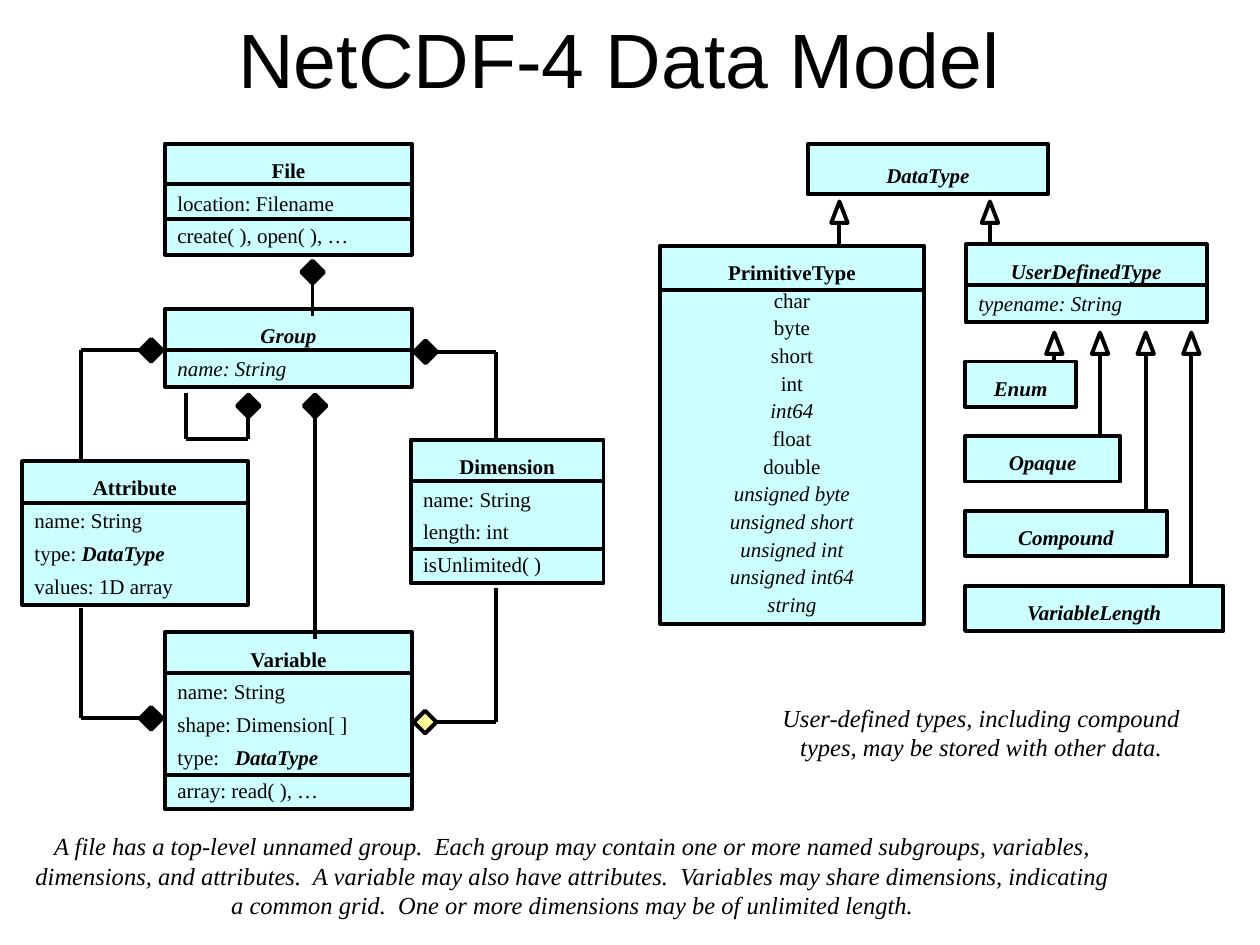
"""Build the NetCDF-4 data model slide as a UML class diagram."""
from lxml.etree import SubElement
from pptx import Presentation
from pptx.dml.color import RGBColor as RGB
from pptx.enum.shapes import MSO_CONNECTOR as CONN, MSO_SHAPE as SHAPE
from pptx.enum.text import MSO_ANCHOR as ANCHOR, PP_ALIGN as ALIGN
from pptx.oxml.ns import qn
from pptx.util import Pt

THEME = {
    "ink": RGB(0, 0, 0), "box": RGB(0xCC, 0xFF, 0xFF),
    "shared": RGB(0xFF, 0xFF, 0x99), "paper": RGB(255, 255, 255),
    "head_font": "Arial", "body_font": "Times New Roman",
    "title": 44, "note": 14, "label": 12, "line": 2.25,
}
TITLE = ("NetCDF-4 Data Model", (54, 3, 600, 60))
NOTES = [
    ("User-defined types, including compound types, may be stored with other data.",
     (437, 398, 247.5, 41)),
    ("A file has a top-level unnamed group.  Each group may contain one or more named "
     "subgroups, variables, dimensions, and attributes.  A variable may also have "
     "attributes.  Variables may share dimensions, indicating a common grid.  One or more "
     "dimensions may be of unlimited length.", (13, 471.5, 628.5, 57.5)),
]
CLASSES = [
    {"name": "Dimension", "at": (234.7, 251.3, 110.2, 82.1), "rules": (275, 313.9),
     "rows": ["name: String", "length: int", "isUnlimited( )"]},
    {"name": "Attribute", "at": (12.6, 263.5, 128.9, 82.1), "rules": (287.3,),
     "rows": ["name: String", [("type: ", ""), ("DataType", "bi")], "values: 1D array"]},
    {"name": "Variable", "at": (94.3, 361.4, 141.1, 100.8), "rules": (384.5, 442.8),
     "rows": ["name: String", "shape: Dimension[ ]",
              [("type:\t", ""), ("DataType", "bi")], "array: read( ), …"]},
    {"name": "Group", "style": "bi", "at": (94.3, 176.4, 141.1, 44.6), "rules": (200.2,),
     "rows": [[("name: String", "i")]]},
    {"name": "File", "at": (94.3, 82.1, 141.1, 63.4), "rules": (105.1, 125.3),
     "rows": ["location: Filename", "create( ), open( ), …"]},
    {"name": "UserDefinedType", "style": "bi", "at": (552, 139.7, 137.5, 44.6),
     "rules": (162.7,), "rows": [[("typename: String", "i")]]},
    {"name": "PrimitiveType", "at": (377.3, 140.4, 150.5, 216), "rules": (165.6,),
     "align": ALIGN.CENTER, "row_spacing": 1.1,
     "outdented": ("short", "unsigned byte", "unsigned short"),
     "rows": ["char", "byte", "short", "int", [("int64", "i")], "float", "double"]
     + [[(t, "i")] for t in ("unsigned byte", "unsigned short", "unsigned int",
                             "unsigned int64", "string")]},
    {"name": "DataType", "style": "bi", "at": (461.5, 82.1, 137.5, 28.8), "spacing": 1.5},
]
SUBTYPES = [("Enum", 63.4), ("Opaque", 88.6), ("Compound", 115.2), ("VariableLength", 147.6)]
SUB_LEFT, SUB_TOP, SUB_STEP, SUB_HEIGHT = 551.5, 206.6, 42.7, 25.9
INHERITS = [(479.7, 115.2, 140), (565.7, 115.2, 139.5)]
ARROW_X, ARROW_Y, ARROW_STEP = 602.5, 190.1, 26.1
TRI_W, TRI_H, DIAMOND = 9.4, 12.2, 13
TOP, LEFT, BOTTOM, RIGHT = range(4)
AGGREGATIONS = [
    ((79.9, 193.7), LEFT, "ink", [(46.1, 200.2), (46.1, 263.5)]),
    ((236.7, 194.5), RIGHT, "ink", [(283.5, 201), (283.5, 251.3)]),
    ((79.9, 404), LEFT, "ink", [(46.1, 410.5), (46.1, 347.6)]),
    ((236.4, 406.1), RIGHT, "shared", [(283.5, 412.6), (283.5, 336.2)]),
    ((173.5, 225.4), BOTTOM, "ink", [(180, 365)]),
    ((172.1, 149), BOTTOM, "ink", [(178.6, 180.7)]),
    ((135.4, 225.4), BOTTOM, "ink", [(141.9, 250.8), (106.3, 250.8), (106.3, 224.6)]),
]
TAB = 33
OUTDENT = -15


def style_run(r, size, style="", font="body_font"):
    values = {"name": THEME[font], "size": Pt(THEME[size]),
              "bold": "b" in style, "italic": "i" in style}
    for key, value in values.items():
        setattr(r.font, key, value)
    r.font.color.rgb = THEME["ink"]


def set_frame(tf, anchor=ANCHOR.TOP):
    values = {"word_wrap": True, "vertical_anchor": anchor, "margin_left": Pt(7.2),
              "margin_right": Pt(7.2), "margin_top": Pt(3.6), "margin_bottom": Pt(3.6)}
    for key, value in values.items():
        setattr(tf, key, value)


def add_shape(s, kind, at, fill):
    sp = s.shapes.add_shape(kind, *map(Pt, at))
    sp.shadow.inherit = False
    sp.fill.solid()
    sp.fill.fore_color.rgb = THEME[fill]
    sp.line.color.rgb = THEME["ink"]
    sp.line.width = Pt(THEME["line"])
    return sp


def add_line(s, start, end):
    cx = s.shapes.add_connector(CONN.STRAIGHT, *map(Pt, (*start, *end)))
    cx.line.color.rgb = THEME["ink"]
    cx.line.width = Pt(THEME["line"])
    SubElement(cx._element.spPr, qn("a:effectLst"))
    return cx


def add_class(s, name, at, rows=(), rules=(), style="b", spacing=1.3,
              row_spacing=1.3, align=ALIGN.LEFT, outdented=()):
    tf = add_shape(s, SHAPE.RECTANGLE, at, "box").text_frame
    set_frame(tf)
    for i, row in enumerate([[(name, style)], *rows]):
        p = tf.paragraphs[0] if i == 0 else tf.add_paragraph()
        p.alignment = align if i else ALIGN.CENTER
        p.line_spacing = row_spacing if i else spacing
        runs = [(row, "")] if isinstance(row, str) else row
        pPr = p._p.get_or_add_pPr()
        if runs[0][0] in outdented:
            pPr.set("marL", "0")
            pPr.set("indent", str(Pt(OUTDENT)))
        if "\t" in runs[0][0]:
            tabs = SubElement(pPr, qn("a:tabLst"))
            SubElement(tabs, qn("a:tab"), pos=str(Pt(TAB)), algn="l")
        for text, run_style in runs:
            r = p.add_run()
            r.text = text
            style_run(r, "label", run_style)
    x, _, w, _ = at
    for y in rules:
        add_line(s, (x, y), (x + w, y))


def add_inheritance(s, x, y, end):
    add_shape(s, SHAPE.ISOSCELES_TRIANGLE, (x - TRI_W / 2, y, TRI_W, TRI_H), "paper")
    add_line(s, (x, y + TRI_H), (x, end))


def add_aggregation(s, at, side, fill, points):
    sp = add_shape(s, SHAPE.DIAMOND, (*at, DIAMOND, DIAMOND), fill)
    add_line(s, at, points[0]).begin_connect(sp, side)
    for start, end in zip(points, points[1:]):
        add_line(s, start, end)


def add_text(sp, text, at, size, style, font, anchor):
    sp.left, sp.top, sp.width, sp.height = map(Pt, at)
    set_frame(sp.text_frame, anchor)
    p = sp.text_frame.paragraphs[0]
    p.alignment = ALIGN.CENTER
    r = p.add_run()
    r.text = text
    style_run(r, size, style, font)


def main():
    prs = Presentation()
    prs.slide_width, prs.slide_height = Pt(720), Pt(540)
    s = prs.slides.add_slide(prs.slide_layouts[5])
    add_text(s.shapes.title, *TITLE, "title", "", "head_font", ANCHOR.MIDDLE)
    for item in CLASSES:
        add_class(s, **item)
    for x, y, end in INHERITS:
        add_inheritance(s, x, y, end)
    for i, (name, width) in enumerate(SUBTYPES):
        y = SUB_TOP + i * SUB_STEP
        add_class(s, name, (SUB_LEFT, y, width, SUB_HEIGHT), style="bi")
        add_inheritance(s, ARROW_X + i * ARROW_STEP, ARROW_Y, y)
    for item in AGGREGATIONS:
        add_aggregation(s, *item)
    for text, at in NOTES:
        sp = s.shapes.add_textbox(*map(Pt, at))
        add_text(sp, text, at, "note", "i", "body_font", ANCHOR.TOP)
    prs.save("out.pptx")


if __name__ == "__main__":
    main()
